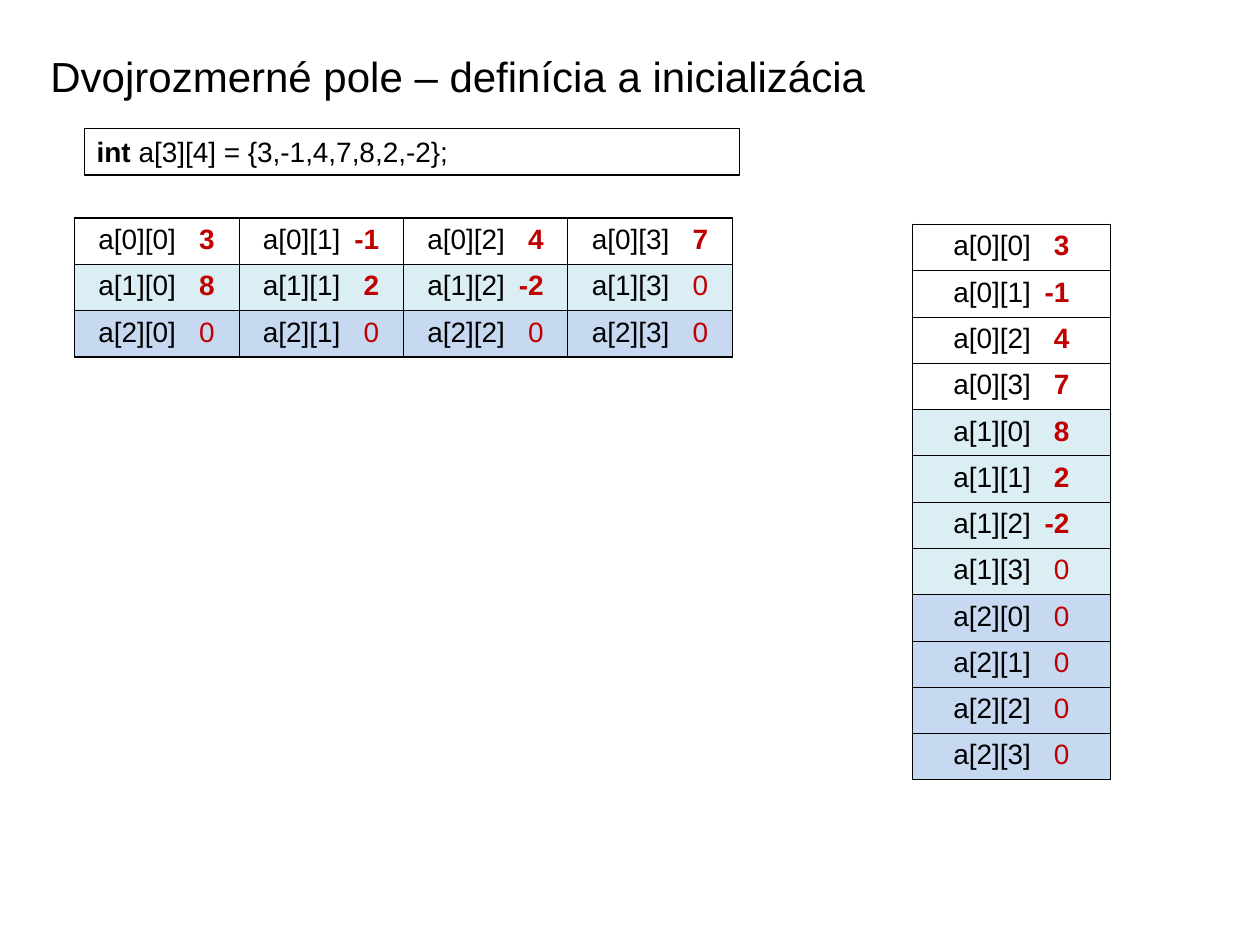
import pptx
import pptx.util
import pptx.dml.color
import pptx.enum.shapes
import pptx.enum.text
import pptx.oxml.ns
from lxml import etree

Pt = pptx.util.Pt
FONT = "Arial"
BLACK, WHITE, RED = "000000", "FFFFFF", "C00000"
ROW_FILLS = [WHITE, "DBEEF4", "C6D9F1"]
ROWS, COLS = 3, 4
INITIAL = [3, -1, 4, 7, 8, 2, -2]
VALUE_TAB = 66.4  # right edge of a value, from the start of its label
ROW_HEIGHT = 26.45
THICK, THIN = 1.08, 0.45


def rgb(hex_color):
    return pptx.dml.color.RGBColor.from_string(hex_color)


def sub(parent, tag, **attrs):
    return etree.SubElement(parent, pptx.oxml.ns.qn(tag), attrs)


def set_font(font, size, color=BLACK):
    font.name = FONT
    font.size = Pt(size)
    font.color.rgb = rgb(color)


def add_title(s, text, left, top, width, height):
    sp = s.shapes.title
    sp.left, sp.top, sp.width, sp.height = Pt(left), Pt(top), Pt(width), Pt(height)
    tf = sp.text_frame
    tf.text = text
    tf.vertical_anchor = pptx.enum.text.MSO_ANCHOR.MIDDLE
    p = tf.paragraphs[0]
    p.alignment = pptx.enum.text.PP_ALIGN.LEFT
    set_font(p.font, 24)


def add_code_box(s, keyword, rest, left, top, width, height):
    sp = s.shapes.add_shape(pptx.enum.shapes.MSO_SHAPE.RECTANGLE,
                            Pt(left), Pt(top), Pt(width), Pt(height))
    sp.shadow.inherit = False
    sp.fill.solid()
    sp.fill.fore_color.rgb = rgb(WHITE)
    sp.line.color.rgb = rgb(BLACK)
    sp.line.width = Pt(0.75)
    tf = sp.text_frame
    tf.word_wrap = True
    tf.vertical_anchor = pptx.enum.text.MSO_ANCHOR.MIDDLE
    p = tf.paragraphs[0]
    p.alignment = pptx.enum.text.PP_ALIGN.LEFT
    set_font(p.font, 16)
    r = p.add_run()
    r.text = keyword
    r.font.bold = True
    p.add_run().text = rest


def set_borders(cell, widths):
    tcPr = cell._tc.get_or_add_tcPr()
    for side, width in zip("LRTB", widths):
        ln = sub(tcPr, f"a:ln{side}", w=str(Pt(width)))
        sub(sub(ln, "a:solidFill"), "a:srgbClr", val=BLACK)


def fill_element(cell, index, width):
    """Show one array element: its name, then its value at a right tab."""
    row, col = divmod(index, COLS)
    given = index < len(INITIAL)
    cell.fill.solid()
    cell.fill.fore_color.rgb = rgb(ROW_FILLS[row])
    cell.margin_left = Pt((width - VALUE_TAB) / 2)
    cell.margin_right = 0
    p = cell.text_frame.paragraphs[0]
    tabs = sub(p._p.get_or_add_pPr(), "a:tabLst")
    sub(tabs, "a:tab", pos=str(Pt(VALUE_TAB)), algn="r")
    set_font(p.font, 16)
    p.add_run().text = f"a[{row}][{col}]\t"
    r = p.add_run()
    r.text = str(INITIAL[index] if given else 0)
    r.font.bold = given
    r.font.color.rgb = rgb(RED)


def add_array(s, rows, cols, left, top, col_width, bottom):
    table = s.shapes.add_table(rows, cols, Pt(left), Pt(top), Pt(cols * col_width),
                               Pt(rows * ROW_HEIGHT)).table
    table.first_row = table.horz_banding = False
    for column in table.columns:
        column.width = Pt(col_width)
    for row in table.rows:
        row.height = Pt(ROW_HEIGHT)
    for index in range(rows * cols):
        i, j = divmod(index, cols)
        cell = table.cell(i, j)
        set_borders(cell, [THICK if j == 0 else THIN,
                           THICK if j == cols - 1 else THIN,
                           THICK if i == 0 else THIN,
                           bottom if i == rows - 1 else THIN])
        fill_element(cell, index, col_width)


def main():
    prs = pptx.Presentation()
    prs.slide_width, prs.slide_height = Pt(720), Pt(540)
    s = prs.slides.add_slide(prs.slide_layouts[5])

    # Title and definition
    add_title(s, "Dvojrozmerné pole – definícia a inicializácia", 21.6, 25.2, 582.5, 36)
    add_code_box(s, "int", " a[3][4] = {3,-1,4,7,8,2,-2};", 48.2, 73.4, 374.4, 26.7)

    # The array as a matrix, and in the order it lies in memory
    add_array(s, ROWS, COLS, 42.5, 124.6, 94, THICK)
    add_array(s, ROWS * COLS, 1, 521.5, 128.2, 113, THIN)

    prs.save("out.pptx")


if __name__ == "__main__":
    main()
